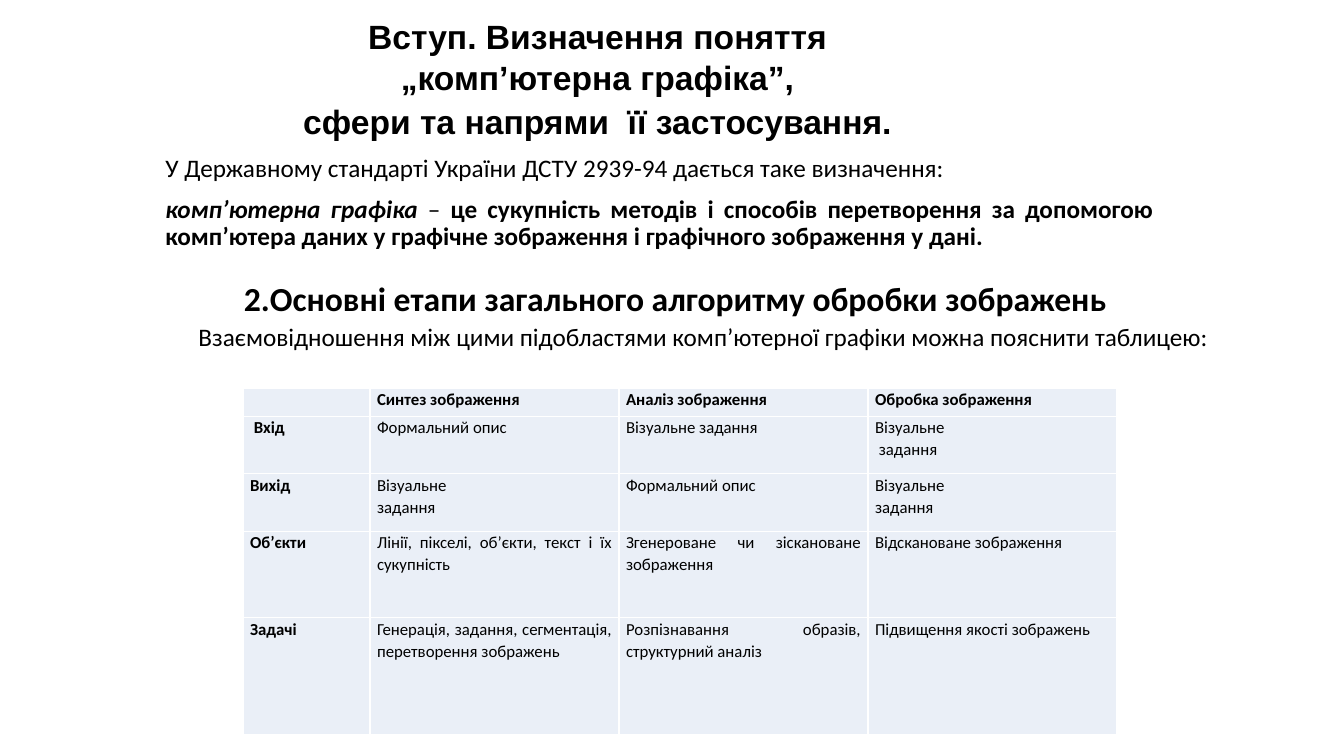
import pptx
import pptx.dml.color
import pptx.enum.text
import pptx.oxml
import pptx.oxml.ns
import pptx.util
from pptx.util import Inches

BLACK = pptx.dml.color.RGBColor(0x00, 0x00, 0x00)
WHITE = pptx.dml.color.RGBColor(0xFF, 0xFF, 0xFF)
CELL_FILL = pptx.dml.color.RGBColor(0xEA, 0xEF, 0xF7)
ALIGN = pptx.enum.text.PP_ALIGN

TITLE = ["Вступ. Визначення поняття „комп’ютерна графіка”,",
         "сфери та напрями  її застосування."]
INTRO = "У Державному стандарті України ДСТУ 2939-94 дається таке визначення:"
TERM = "комп’ютерна графіка "
DEFINITION = ("це сукупність методів і способів перетворення за допомогою комп’ютера "
              "даних у графічне зображення і графічного зображення у дані.")
SECTION = "2.Основні етапи загального алгоритму обробки зображень"
TABLE_INTRO = ("Взаємовідношення між цими підобластями комп’ютерної графіки "
               "можна пояснити таблицею:")
STAGES = [
    ["", "Синтез зображення", "Аналіз зображення", "Обробка зображення"],
    [" Вхід", "Формальний опис", "Візуальне задання", "Візуальне\n задання"],
    ["Вихід", "Візуальне\nзадання", "Формальний опис", "Візуальне\nзадання"],
    ["Об’єкти", "Лінії, пікселі, об’єкти, текст і їх сукупність",
     "Згенероване чи зіскановане зображення", "Відскановане зображення"],
    ["Задачі", "Генерація, задання, сегментація, перетворення зображень",
     "Розпізнавання образів, структурний аналіз", "Підвищення якості зображень"],
]
COL_WIDTHS = [1.26, 2.47, 2.47, 2.47]
ROW_HEIGHTS = [0.28, 0.57, 0.57, 0.86, 1.16]


def format_run(r, size, bold=False, italic=False, font="Calibri"):
    r.font.name = font
    r.font.size = pptx.util.Pt(size)
    r.font.bold = bold
    r.font.italic = italic
    r.font.color.rgb = BLACK


def place(sp, left, top, width, height):
    sp.left, sp.top = Inches(left), Inches(top)
    sp.width, sp.height = Inches(width), Inches(height)
    tf = sp.text_frame
    tf.word_wrap = True
    tf.auto_size = pptx.enum.text.MSO_AUTO_SIZE.NONE
    tf.vertical_anchor = pptx.enum.text.MSO_ANCHOR.TOP
    return tf


def fill_title(sp):
    tf = place(sp, 2.59, 0.11, 6.67, 1.35)
    tf.text = "\n".join(TITLE)
    for p in tf.paragraphs:
        p.alignment = ALIGN.CENTER
        p.space_after = pptx.util.Pt(3)
        format_run(p.runs[0], 24, bold=True, font="Arial")


def fill_definition(sp):
    tf = place(sp, 1.54, 1.49, 10, 1.19)
    tf.text = INTRO
    format_run(tf.paragraphs[0].runs[0], 18)
    p = tf.add_paragraph()
    for text, bold, italic in [(TERM, True, True), ("– ", False, False),
                               (DEFINITION, True, False)]:
        r = p.add_run()
        r.text = text
        format_run(r, 18, bold, italic)
    for p in tf.paragraphs:
        p.alignment = ALIGN.JUSTIFY
        p.line_spacing = 0.9
        p.space_before = pptx.util.Pt(10)


def add_line_of_text(s, text, left, top, width, height, size, bold=False):
    sp = s.shapes.add_textbox(0, 0, 0, 0)
    tf = place(sp, left, top, width, height)
    tf.text = text
    format_run(tf.paragraphs[0].runs[0], size, bold)


def add_borders(cell):
    """Draw a 1 pt white line on all four sides of the cell."""
    tcPr = cell._tc.get_or_add_tcPr()
    for i, side in enumerate(["lnL", "lnR", "lnT", "lnB"]):
        tcPr.insert(i, pptx.oxml.parse_xml(
            f'<a:{side} {pptx.oxml.ns.nsdecls("a")} w="12700"><a:solidFill>'
            f'<a:srgbClr val="{WHITE}"/></a:solidFill></a:{side}>'))


def fill_cell(cell, text, bold):
    cell.margin_left = cell.margin_right = Inches(0.07)
    cell.margin_top = cell.margin_bottom = 0
    cell.fill.solid()
    cell.fill.fore_color.rgb = CELL_FILL
    add_borders(cell)
    cell.text_frame.text = text
    for p in cell.text_frame.paragraphs:
        p.alignment = ALIGN.JUSTIFY
        p.line_spacing = 1.07
        for r in p.runs:
            format_run(r, 12, bold)
        if not p.runs:
            # An empty cell still needs its text size, or the row grows.
            p._p.append(pptx.oxml.parse_xml(
                f'<a:endParaRPr {pptx.oxml.ns.nsdecls("a")} sz="1200"/>'))


def add_stage_table(s):
    table = s.shapes.add_table(
        len(ROW_HEIGHTS), len(COL_WIDTHS), Inches(2.41), Inches(3.85),
        Inches(sum(COL_WIDTHS)), Inches(sum(ROW_HEIGHTS))).table
    for column, width in zip(table.columns, COL_WIDTHS):
        column.width = Inches(width)
    for row, height in zip(table.rows, ROW_HEIGHTS):
        row.height = Inches(height)
    for i, texts in enumerate(STAGES):
        for j, text in enumerate(texts):
            fill_cell(table.cell(i, j), text, bold=i == 0 or j == 0)


def main():
    prs = pptx.Presentation()
    prs.slide_width, prs.slide_height = Inches(13.33), Inches(7.5)
    s = prs.slides.add_slide(prs.slide_layouts[0])
    fill_title(s.shapes.title)
    fill_definition(s.placeholders[1])
    add_line_of_text(s, SECTION, 2.32, 2.71, 8.84, 0.5, 24, bold=True)
    add_stage_table(s)
    add_line_of_text(s, TABLE_INTRO, 1.87, 3.14, 10.32, 0.71, 18)
    prs.save("out.pptx")


if __name__ == "__main__":
    main()
